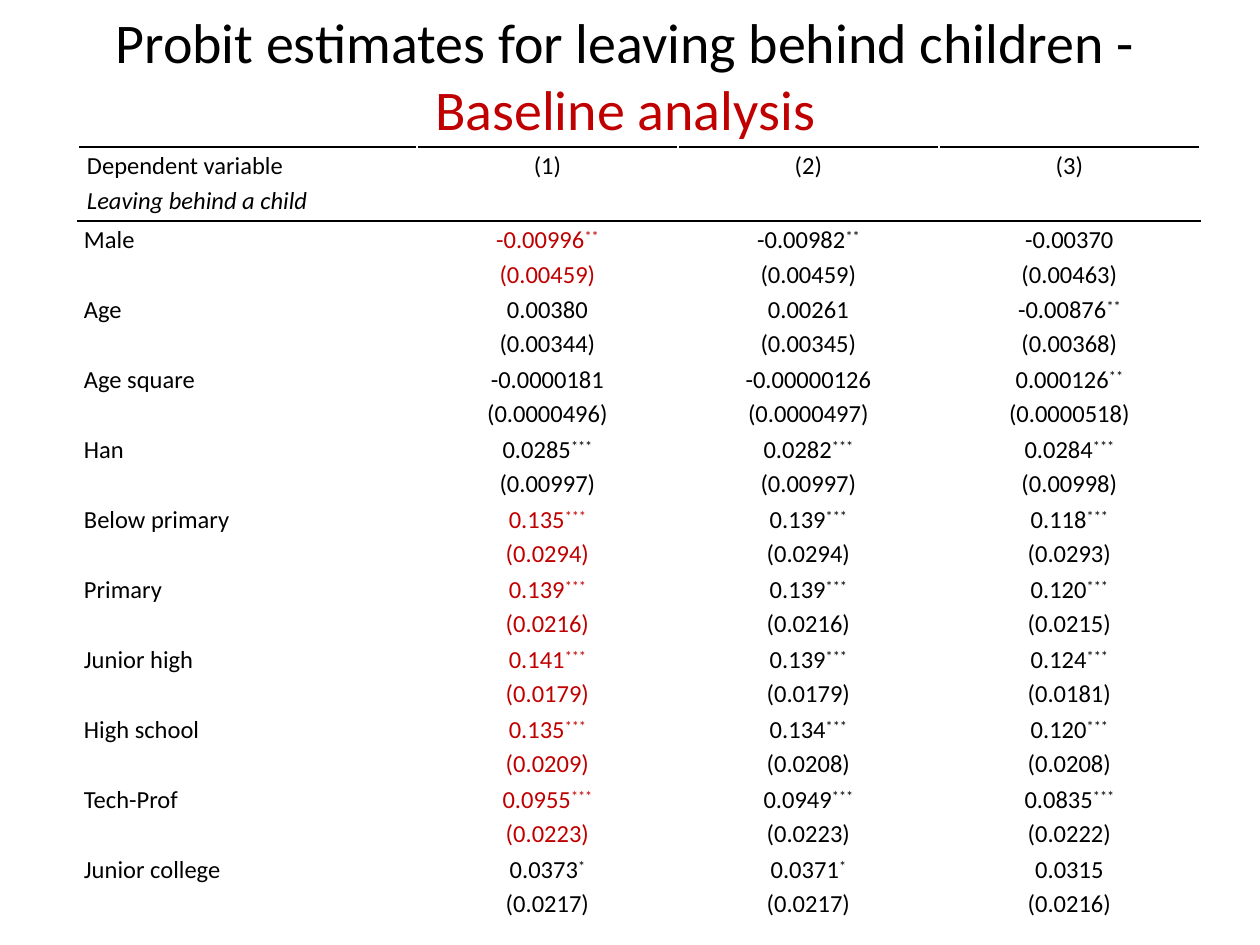
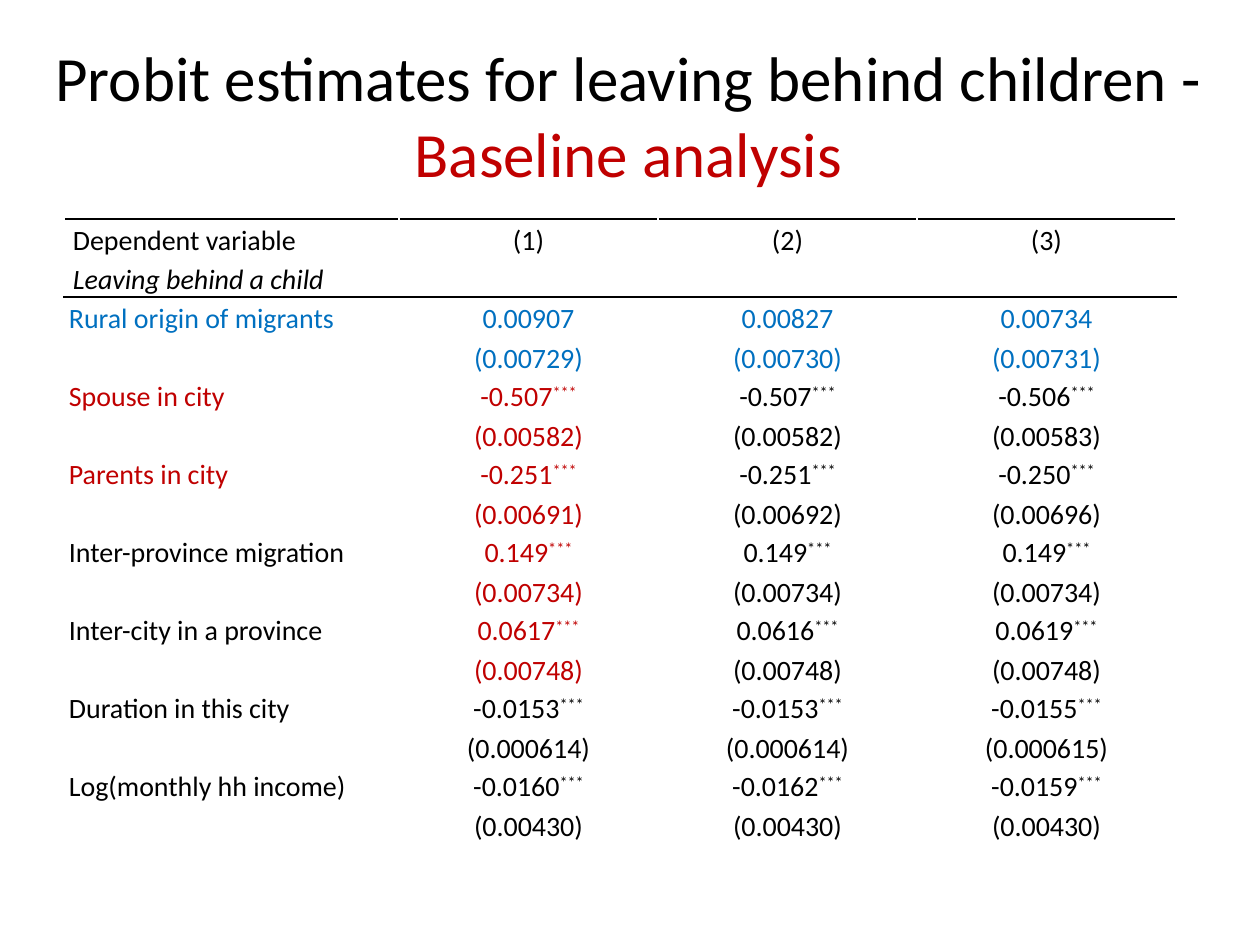
from copy import deepcopy
from dataclasses import dataclass

from lxml import etree
from pptx import Presentation
from pptx.dml.color import RGBColor
from pptx.enum import text as text_enum
from pptx.oxml import ns
from pptx.util import Emu, Pt

EMU_PER_PX = 914400 / 126


@dataclass(frozen=True)
class Theme:
    font: str = "Calibri"
    ink: str = "000000"
    paper: str = "FFFFFF"
    red: str = "C00000"
    blue: str = "0070C0"
    line_spacing: float = 1.15
    rule_width: int = 1
    superscript: int = 30
    header_inset: int = 9
    number_inset: int = 6


THEME = Theme()

# Colours of one table row: label, then columns (1) to (3)
PLAIN = (THEME.ink,) * 4
FIRST_RED = (THEME.ink, THEME.red, THEME.ink, THEME.ink)
LABEL_RED = (THEME.red, THEME.red, THEME.ink, THEME.ink)
ALL_BLUE = (THEME.blue,) * 4

# Rows: label, "estimate (standard error)" for each model, colours
PERSONAL_ROWS = [
    ("Male", ["-0.00996** (0.00459)", "-0.00982** (0.00459)", "-0.00370 (0.00463)"], FIRST_RED),
    ("Age", ["0.00380 (0.00344)", "0.00261 (0.00345)", "-0.00876** (0.00368)"], PLAIN),
    ("Age square", ["-0.0000181 (0.0000496)", "-0.00000126 (0.0000497)",
                    "0.000126** (0.0000518)"], PLAIN),
    ("Han", ["0.0285*** (0.00997)", "0.0282*** (0.00997)", "0.0284*** (0.00998)"], PLAIN),
    ("Below primary", ["0.135*** (0.0294)", "0.139*** (0.0294)", "0.118*** (0.0293)"], FIRST_RED),
    ("Primary", ["0.139*** (0.0216)", "0.139*** (0.0216)", "0.120*** (0.0215)"], FIRST_RED),
    ("Junior high", ["0.141*** (0.0179)", "0.139*** (0.0179)", "0.124*** (0.0181)"], FIRST_RED),
    ("High school", ["0.135*** (0.0209)", "0.134*** (0.0208)", "0.120*** (0.0208)"], FIRST_RED),
    ("Tech-Prof", ["0.0955*** (0.0223)", "0.0949*** (0.0223)", "0.0835*** (0.0222)"], FIRST_RED),
    ("Junior college", ["0.0373* (0.0217)", "0.0371* (0.0217)", "0.0315 (0.0216)"], PLAIN),
]
MIGRATION_ROWS = [
    ("Rural origin of migrants", ["0.00907 (0.00729)", "0.00827 (0.00730)",
                                  "0.00734 (0.00731)"], ALL_BLUE),
    ("Spouse in city", ["-0.507*** (0.00582)", "-0.507*** (0.00582)",
                        "-0.506*** (0.00583)"], LABEL_RED),
    ("Parents in city", ["-0.251*** (0.00691)", "-0.251*** (0.00692)",
                         "-0.250*** (0.00696)"], LABEL_RED),
    ("Inter-province migration", ["0.149*** (0.00734)", "0.149*** (0.00734)",
                                  "0.149*** (0.00734)"], FIRST_RED),
    ("Inter-city in a province", ["0.0617*** (0.00748)", "0.0616*** (0.00748)",
                                  "0.0619*** (0.00748)"], FIRST_RED),
    ("Duration in this city", ["-0.0153*** (0.000614)", "-0.0153*** (0.000614)",
                               "-0.0155*** (0.000615)"], PLAIN),
    ("Log(monthly hh income)", ["-0.0160*** (0.00430)", "-0.0162*** (0.00430)",
                                "-0.0159*** (0.00430)"], PLAIN),
]


def px(length):
    return Emu(round(length * EMU_PER_PX))


def write_text(paragraph, text, *, size, color=THEME.ink, italic=False, raised=False):
    run = paragraph.add_run()
    run.text = text
    run.font.name = THEME.font
    run.font.size = Pt(size)
    run.font.italic = italic
    run.font.color.rgb = RGBColor.from_string(color)
    if raised:
        run.font._element.set("baseline", str(THEME.superscript * 1000))
    return run


def write_estimate(paragraph, estimate, *, size, color):
    """Estimate with raised stars, and its standard error on the next line."""
    value, error = estimate.split()
    number = value.rstrip("*")
    stars = value[len(number):]
    run = write_text(paragraph, number, size=size, color=color)
    if stars:
        run = write_text(paragraph, stars, size=size, color=color, raised=True)
    paragraph.add_line_break()
    paragraph._p[-1].append(deepcopy(run.font._element))
    write_text(paragraph, error, size=size, color=color)


def set_borders(cell, *, top, bottom):
    colors = {"lnL": THEME.paper, "lnR": THEME.paper, "lnT": top, "lnB": bottom}
    properties = cell._tc.get_or_add_tcPr()
    for position, (side, color) in enumerate(colors.items()):
        line = etree.Element(ns.qn(f"a:{side}"), w=str(Pt(THEME.rule_width)))
        fill = etree.SubElement(line, ns.qn("a:solidFill"))
        etree.SubElement(fill, ns.qn("a:srgbClr"), val=color)
        properties.insert(position, line)


class Deck:
    def __init__(self):
        self.presentation = Presentation()
        self.presentation.slide_width = px(1260)
        self.presentation.slide_height = px(945)
        self.slide = None

    def add_slide(self):
        self.slide = self.presentation.slides.add_slide(self.presentation.slide_layouts[6])

    def title(self, left, top, width, height, *, size):
        box = self.slide.shapes.add_textbox(px(left), px(top), px(width), px(height))
        frame = box.text_frame
        frame.word_wrap = True
        frame.vertical_anchor = text_enum.MSO_ANCHOR.MIDDLE
        paragraph = frame.paragraphs[0]
        paragraph.alignment = text_enum.PP_ALIGN.CENTER
        write_text(paragraph, "Probit estimates for leaving behind children - ", size=size)
        write_text(paragraph, "Baseline analysis", size=size, color=THEME.red)

    def cell(self, table, row, column, *, inset, top=THEME.paper, bottom=THEME.paper):
        """Style one cell and return its paragraph."""
        cell = table.cell(row, column)
        cell.margin_left = cell.margin_right = px(inset)
        cell.margin_top = cell.margin_bottom = 0
        cell.fill.background()
        set_borders(cell, top=top, bottom=bottom)
        paragraph = cell.text_frame.paragraphs[0]
        paragraph.line_spacing = THEME.line_spacing
        if column:
            paragraph.alignment = text_enum.PP_ALIGN.CENTER
        return paragraph

    def estimates(self, left, top, rows, *, columns, header_heights, row_height, size, inset):
        heights = [*header_heights, *[row_height] * len(rows)]
        table = self.slide.shapes.add_table(
            len(heights), len(columns), px(left), px(top), px(sum(columns)), px(sum(heights))
        ).table
        table.first_row = table.horz_banding = False
        for column, width in zip(table.columns, columns):
            column.width = px(width)
        for row, height in zip(table.rows, heights):
            row.height = px(height)

        # Two header rows between black rules
        for column, heading in enumerate(["Dependent variable", "(1)", "(2)", "(3)"]):
            header_inset = THEME.number_inset if column else THEME.header_inset
            paragraph = self.cell(table, 0, column, inset=header_inset, top=THEME.ink)
            write_text(paragraph, heading, size=size)
            paragraph = self.cell(table, 1, column, inset=header_inset, bottom=THEME.ink)
            if column:
                etree.SubElement(paragraph._p, ns.qn("a:endParaRPr"), sz=str(size * 100))
            else:
                write_text(paragraph, "Leaving behind a child", size=size, italic=True)

        # One row for each explanatory variable
        for row, (label, values, colors) in enumerate(rows, start=2):
            rule = THEME.ink if row == 2 else THEME.paper
            for column, (content, color) in enumerate(zip([label, *values], colors)):
                paragraph = self.cell(table, row, column, inset=inset, top=rule)
                write = write_estimate if column else write_text
                write(paragraph, content, size=size, color=color)


def main():
    deck = Deck()

    # Personal characteristics and education
    deck.add_slide()
    deck.estimates(78, 147, PERSONAL_ROWS, columns=[339, 261, 261, 261],
                   header_heights=[35, 39], row_height=70, size=14, inset=6)
    deck.title(39, 0, 1173, 149, size=32)

    # Family and migration
    deck.add_slide()
    deck.estimates(64, 219, MIGRATION_ROWS, columns=[335, 259, 259, 259],
                   header_heights=[39, 39], row_height=78, size=16, inset=5)
    deck.title(42, 32, 1173, 165, size=36)

    deck.presentation.save("out.pptx")


if __name__ == "__main__":
    main()
